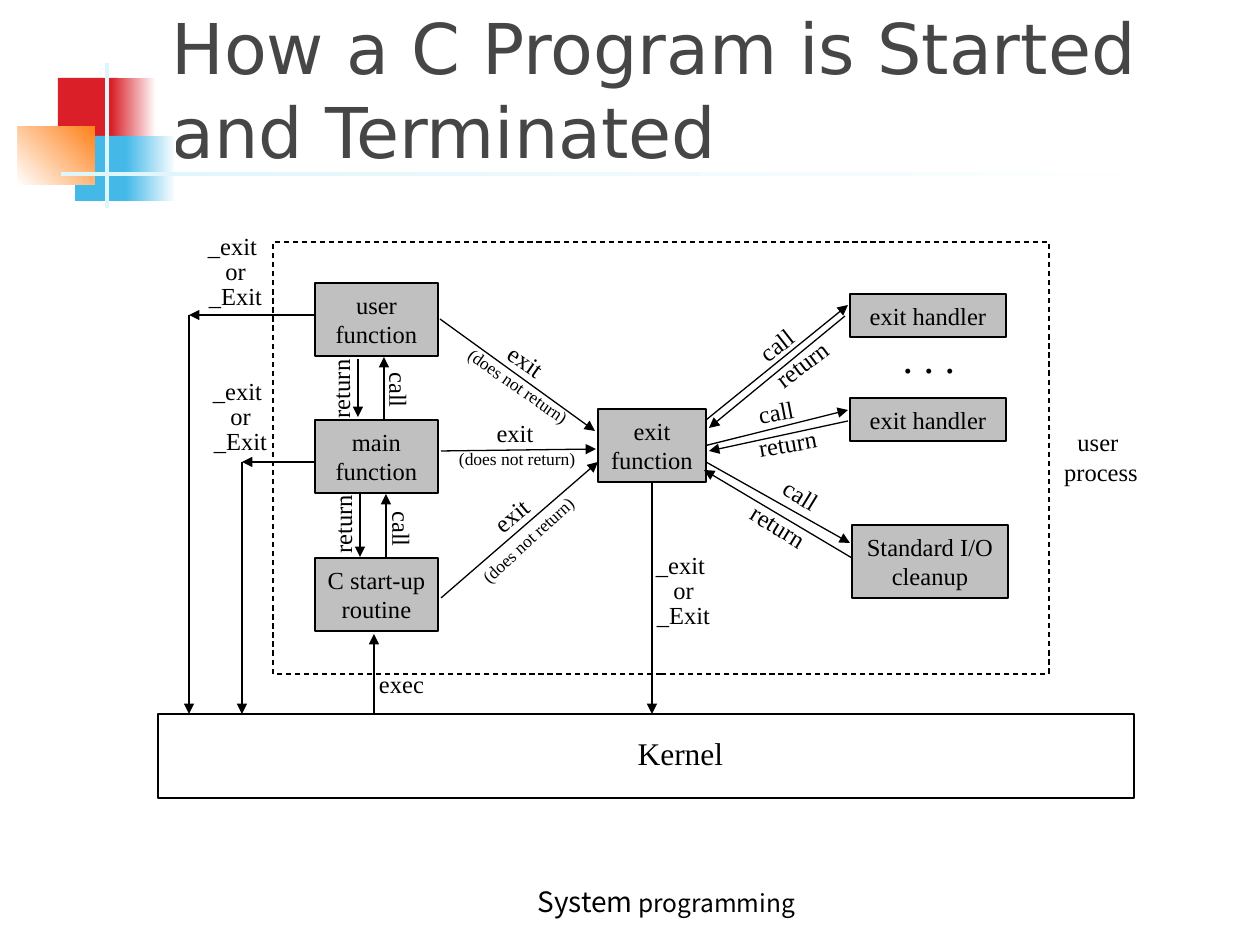
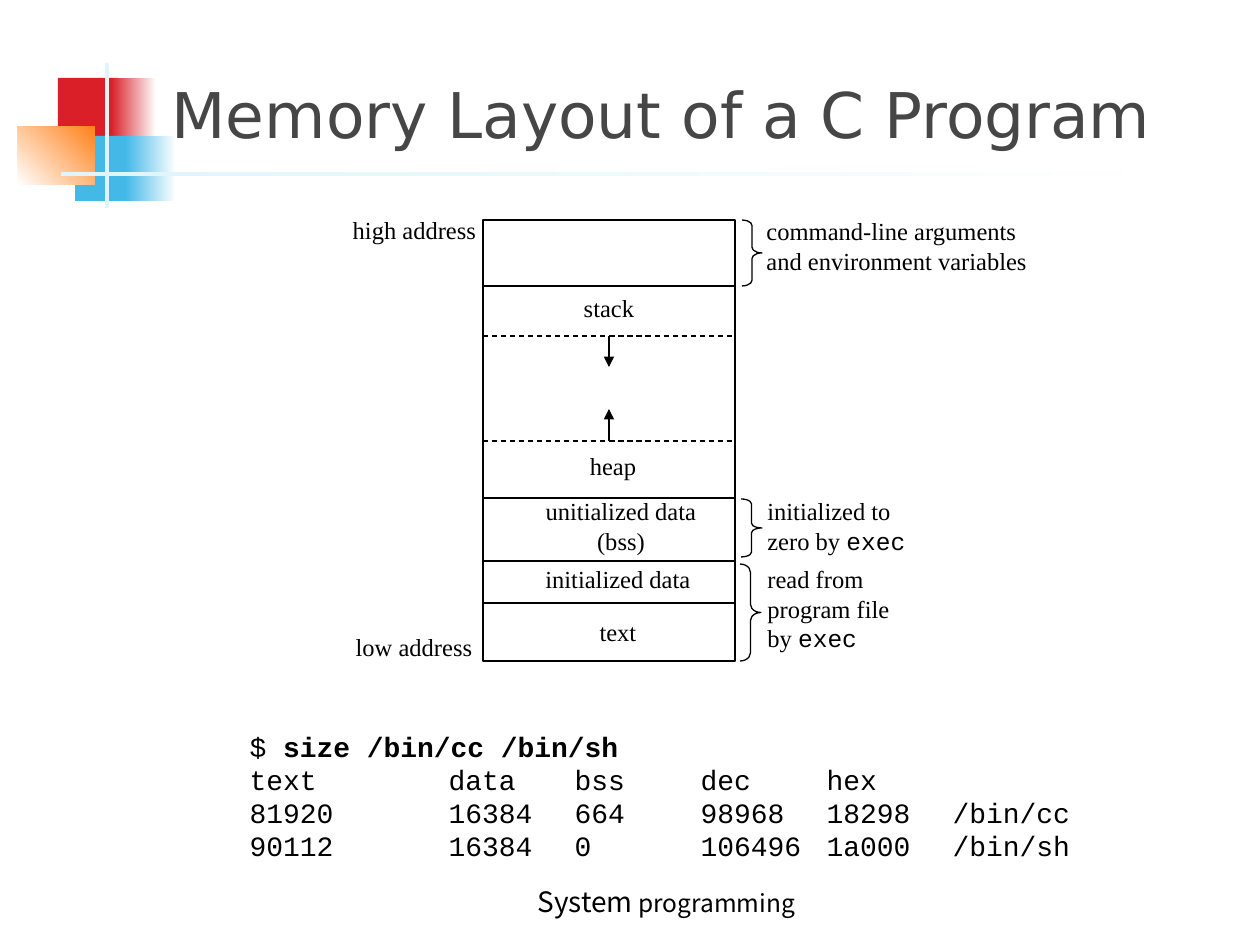
from dataclasses import dataclass
from itertools import pairwise
from typing import Any

from lxml.etree import SubElement
from pptx import Presentation
from pptx.dml.color import RGBColor
from pptx.enum.dml import MSO_LINE_DASH_STYLE as DASH
from pptx.enum.shapes import MSO_CONNECTOR as CONN, MSO_SHAPE as SHAPE
from pptx.enum.text import MSO_ANCHOR as ANCHOR, MSO_AUTO_SIZE as FIT, PP_ALIGN as ALIGN
from pptx.oxml.ns import qn
from pptx.util import Emu, Inches, Pt

SERIF, MONO, TITLE_FONT, FOOTER_FONT = (
    "Times New Roman", "Courier New", "DejaVu Sans", "Noto Sans CJK KR")
BLACK, WHITE, GRAY, TITLE_GRAY = "000000", "FFFFFF", "C0C0C0", "464646"
RED, BLUE, ORANGE, PALE = "DA1F28", "44B9E8", "FF8119", "DEF5FA"
BOTTOM, RIGHT = 2, 3
LABEL_WIDTHS = {"call": 60, "return": 83, "exit": 62}


def px(n):
    """Turn pixels into EMU."""
    return Emu(round(n * 914400 / 126))


def rgb(color):
    """Turn a hex string into a colour."""
    return RGBColor.from_string(color)


def set_font(font, size, name=SERIF, color=BLACK):
    """Set size, typeface and colour of a font."""
    font.size, font.name = Pt(size), name
    font.color.rgb = rgb(color)


def place(s, x, y, w, h):
    """Move and size a shape in pixels."""
    s.left, s.top, s.width, s.height = map(px, (x, y, w, h))


def write_lines(tf, text, size, align=ALIGN.CENTER, spacing=None):
    """Write each line of the text as a paragraph, with the command exec in mono."""
    for i, line in enumerate(text.split("\n")):
        p = tf.paragraphs[0] if i == 0 else tf.add_paragraph()
        p.alignment, p.line_spacing = align, spacing
        set_font(p.font, size)
        before, code, _ = line.partition(" exec")
        p.add_run().text = before + code[:1]
        if code:
            r = p.add_run()
            r.text = code[1:]
            r.font.name = MONO


@dataclass
class Region:
    """A part of a slide with its own origin in pixels."""
    slide: Any
    x: int
    y: int

    def shape(self, box, kind=SHAPE.RECTANGLE, fill=None, line=None, dash=None):
        """Add a preset shape with a plain, gradient or empty fill."""
        x, y, w, h = box
        s = self.slide.shapes.add_shape(kind, px(self.x + x), px(self.y + y), px(w), px(h))
        s.shadow.inherit = False
        if fill is None:
            s.fill.background()
        elif isinstance(fill, str):
            s.fill.solid()
            s.fill.fore_color.rgb = rgb(fill)
        else:
            start, end, angle = fill
            s.fill.gradient()
            s.fill.gradient_angle = angle
            for stop, color in zip(s.fill.gradient_stops, (start, end)):
                stop.color.rgb = rgb(color)
        if line:
            s.line.color.rgb = rgb(line)
            s.line.width = Pt(0.75)
            s.line.dash_style = dash
        else:
            s.line.fill.background()
        return s

    def node(self, box, text):
        """Add a gray box with centred text."""
        s = self.shape(box, fill=GRAY, line=BLACK)
        s.text_frame.word_wrap = False
        s.text_frame.vertical_anchor = ANCHOR.MIDDLE
        write_lines(s.text_frame, text, 14)
        return s

    def label(self, box, text, size=14, rotation=0, align=ALIGN.CENTER, spacing=None):
        """Add text that does not wrap."""
        x, y, w, h = box
        s = self.slide.shapes.add_textbox(px(self.x + x), px(self.y + y), px(w), px(h))
        s.rotation = rotation
        tf = s.text_frame
        tf.word_wrap = False
        tf.auto_size = FIT.SHAPE_TO_FIT_TEXT
        if align == ALIGN.CENTER:
            tf.margin_left = tf.margin_right = px(8)
        write_lines(tf, text, size, align, spacing)

    def line(self, x1, y1, x2, y2, arrow=True):
        """Add an arrow, or a dashed line when it has no head."""
        c = self.slide.shapes.add_connector(
            CONN.STRAIGHT, px(self.x + x1), px(self.y + y1), px(self.x + x2), px(self.y + y2))
        c.line.color.rgb = rgb(BLACK)
        c.line.width = Pt(0.75)
        sp_pr = c.element.spPr
        if arrow:
            SubElement(sp_pr.find(qn("a:ln")), qn("a:tailEnd"), type="triangle")
        else:
            c.line.dash_style = DASH.DASH
        SubElement(sp_pr, qn("a:effectLst"))
        return c


def add_decoration(slide, x, y):
    """Draw the coloured squares and the crossing bars."""
    region = Region(slide, x, y)
    for box, fill in (
        ((41, 15, 60, 66), RED),
        ((94, 15, 45, 66), (RED, WHITE, 0)),
        ((58, 73, 57, 65), BLUE),
        ((109, 73, 50, 65), (BLUE, WHITE, 0)),
        ((1, 63, 77, 59), (WHITE, ORANGE, 45)),
        ((88, 0, 4, 145), PALE),
        ((44, 109, 1134, 4), (PALE, WHITE, 0)),
    ):
        region.shape(box, fill=fill)


def add_footer(slide, box):
    """Write the course name at the foot."""
    tf = slide.shapes.add_textbox(*map(px, box)).text_frame
    tf.word_wrap, tf.vertical_anchor = True, ANCHOR.BOTTOM
    p = tf.paragraphs[0]
    p.alignment = ALIGN.CENTER
    for text, size in (("System", 16), (" programming", 14)):
        r = p.add_run()
        r.text = text
        set_font(r.font, size, FOOTER_FONT)


def add_slide(prs, layout, title, title_top, title_size):
    """Add a slide with the shared decoration, footer and title."""
    slide = prs.slides.add_slide(prs.slide_layouts[layout])
    add_decoration(slide, 17, 63)
    add_footer(slide, (441, 861, 451, 63))
    place(slide.shapes.title, 159, title_top, 1074, 129)
    tf = slide.shapes.title.text_frame
    tf.text = title
    tf.auto_size, tf.vertical_anchor = FIT.NONE, ANCHOR.BOTTOM
    p = tf.paragraphs[0]
    p.alignment = ALIGN.LEFT
    set_font(p.font, title_size, TITLE_FONT, TITLE_GRAY)
    return slide


def draw_process(slide, x, y, w, h):
    """Draw the user process and return its exit function box."""
    region = Region(slide, x, y)
    region.shape((0, 0, w, h), line=BLACK, dash=DASH.DASH)
    exit_box = region.node((325, 167, 108, 73), "exit\nfunction")
    for top, text in ((41, "user\nfunction"), (178, "main\nfunction"),
                      (316, "C start-up\nroutine")):
        region.node((42, top, 123, 73), text)
    for top in (52, 156):
        region.node((577, top, 156, 43), "exit handler")
    region.node((579, 283, 156, 73), "Standard I/O\ncleanup")
    region.label((617, 83, 78, 63), ". . .", 24)

    for ends in (
        (433, 178, 575, 63), (572, 74, 436, 186), (575, 179, 436, 209),
        (433, 220, 577, 301), (579, 316, 431, 228),
        (85, 117, 85, 175), (87, 252, 87, 315),
        (113, 315, 113, 252), (111, 178, 111, 115),
        (167, 77, 322, 189), (168, 209, 323, 207), (168, 356, 325, 220),
    ):
        region.line(*ends)
    region.line(433, 203, 575, 168).begin_connect(exit_box, RIGHT)

    for text, left, top, rotation in (
        ("call", 473, 82, 322.2), ("return", 487, 101, 322.8),
        ("call", 473, 149, 348.9), ("return", 473, 180, 350),
        ("call", 498, 232, 31.5), ("return", 464, 263, 31.6),
        ("exit", 222, 98, 34.9), ("exit", 211, 170, 0), ("exit", 207, 252, 320.3),
        ("return", 26, 126, 270), ("call", 96, 127, 90),
        ("return", 28, 261, 270), ("call", 99, 266, 90),
    ):
        region.label((left, top, LABEL_WIDTHS[text], 42), text, rotation=rotation)
    for left, top, rotation in ((174, 127, 34.8), (173, 200, 0), (184, 281, 317.5)):
        region.label((left, top, 142, 34), "(does not return)", 10, rotation)
    return exit_box


def draw_kernel(slide, x, y, exit_box):
    """Draw the kernel and the paths between it and the process."""
    region = Region(slide, x, y)
    kernel_top = 484
    region.shape((0, kernel_top, 976, 84), line=BLACK)
    region.label((467, 498, 111, 50), "Kernel", 18)
    for left, top in ((31, 85), (84, 232)):
        region.line(157, top, left, top)
        region.line(left, top, left, kernel_top)
    region.line(216, kernel_top, 216, 404)
    region.line(494, 252, 494, kernel_top).begin_connect(exit_box, BOTTOM)
    for left, top in ((37, -1), (42, 144), (485, 318)):
        region.label((left, top, 81, 87), "_exit \nor\n_Exit", spacing=0.85)
    region.label((893, 191, 100, 72), "user \nprocess")
    region.label((208, 433, 71, 42), "exec")


def draw_memory(slide, x, y, w):
    """Draw the memory segments with their labels and braces."""
    region = Region(slide, x, y)
    for top, bottom in pairwise((0, 66, 278, 341, 383, 441)):
        region.shape((0, top, w, bottom - top), line=BLACK)
    for edge, tip in ((116, 147), (221, 189)):
        region.line(0, edge, w, edge, arrow=False)
        region.line(w / 2, edge, w / 2, tip)
    for box, text in (
        ((-143, -11, 149, 42), "high address"),
        ((-140, 406, 142, 42), "low address"),
        ((88, 67, 76, 42), "stack"),
        ((94, 225, 72, 42), "heap"),
        ((50, 270, 176, 72), "unitialized data\n(bss)"),
        ((50, 338, 170, 42), "initialized data"),
        ((104, 391, 62, 42), "text"),
    ):
        region.label(box, text)
    for box, curve, note_box, note in (
        ((259, 0, 20, 66), 0.28, (271, -10, 286, 72),
         "command-line arguments\nand environment variables"),
        ((258, 279, 21, 58), 0.23, (272, 270, 163, 72), "initialized to\nzero by exec"),
        ((257, 344, 21, 97), 0.39, (272, 338, 147, 101), "read from\nprogram file\nby exec"),
    ):
        brace = region.shape(box, SHAPE.RIGHT_BRACE, line=BLACK)
        brace.adjustments[0] = curve
        region.label(note_box, note, align=ALIGN.LEFT)


def write_listing(body, box):
    """Fill the body with the command and its tabbed output."""
    place(body, *box)
    tf = body.text_frame
    tf.auto_size = FIT.NONE
    rows = ("$ ", "text\t\tdata\tbss\tdec\thex",
            "81920\t16384\t664\t98968\t18298\t/bin/cc",
            "90112\t16384\t0\t106496\t1a000\t/bin/sh")
    for i, row in enumerate(rows):
        p = tf.paragraphs[0] if i == 0 else tf.add_paragraph()
        p.add_run().text = row
        p.line_spacing = 0.8
        p.space_before = Pt(3.5 if i else 0)
        p_pr = p._p.get_or_add_pPr()
        p_pr.set("marL", str(px(73)))
        p_pr.set("indent", str(px(-73)))
        p_pr.set("defTabSz", str(px(126)))
        SubElement(p_pr, qn("a:buNone"))
        set_font(p.font, 16, MONO)
    r = tf.paragraphs[0].add_run()
    r.text = "size /bin/cc /bin/sh"
    r.font.bold = True


def main():
    """Build both slides and save them."""
    prs = Presentation()
    prs.slide_width, prs.slide_height = Inches(10), Inches(7.5)
    slide = add_slide(prs, 5, "How a C Program is Started \vand Terminated", 50, 40)
    exit_box = draw_process(slide, 273, 242, 776, 432)
    draw_kernel(slide, 158, 230, exit_box)

    slide = add_slide(prs, 1, "Memory Layout of a C Program", 28, 36)
    write_listing(slide.placeholders[1], (237, 730, 971, 131))
    draw_memory(slide, 483, 220, 252)
    prs.save("out.pptx")


if __name__ == "__main__":
    main()
